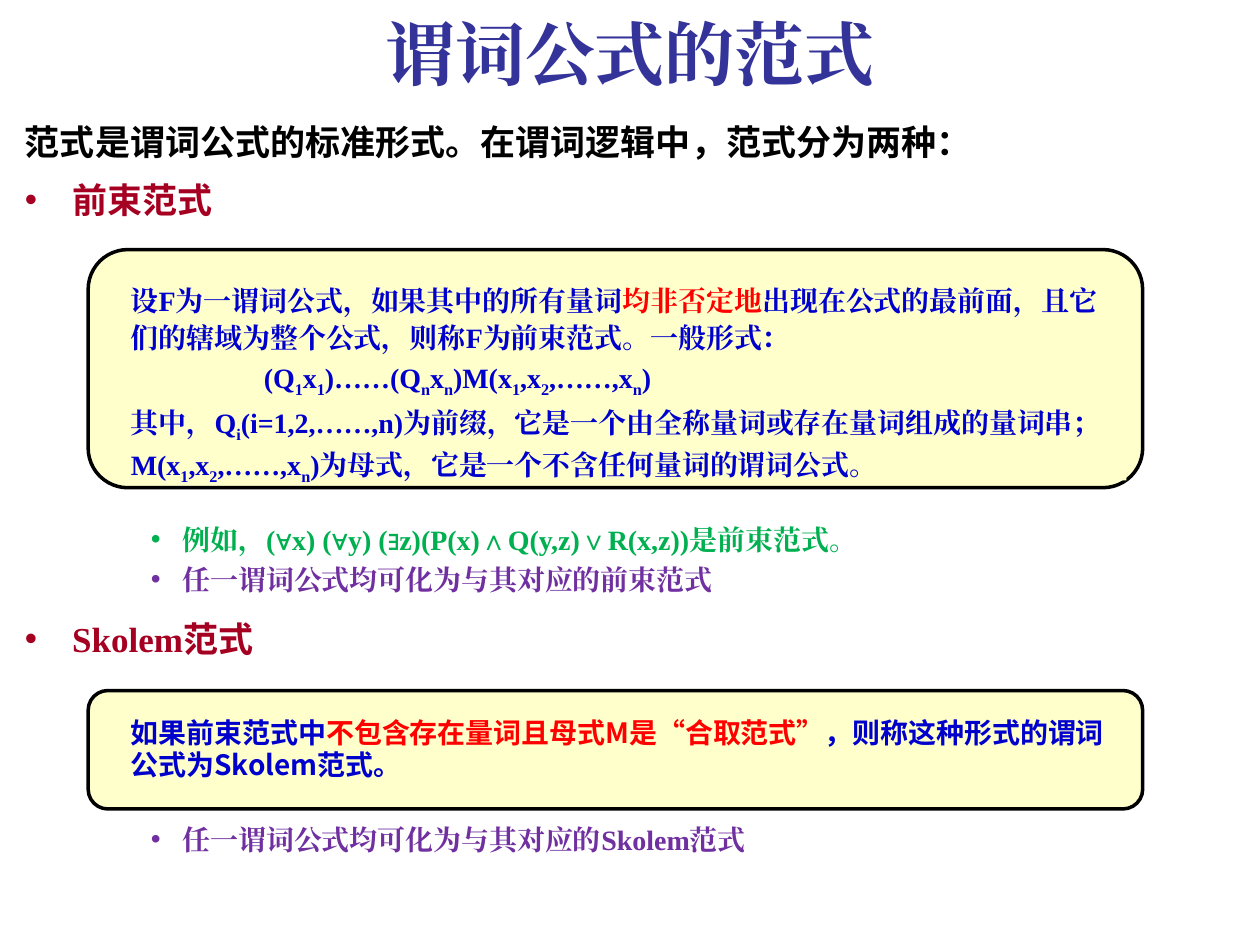
"""Build a slide on the normal forms of predicate formulas."""
import dataclasses

import pptx
import pptx.dml.color
import pptx.enum.shapes
import pptx.enum.text
import pptx.oxml.ns
import pptx.util
from lxml import etree

Pt = pptx.util.Pt


@dataclasses.dataclass(frozen=True)
class Theme:
    """Colours, fonts and type sizes of the slide."""
    title: str = "333399"
    text: str = "000000"
    heading: str = "A50021"
    example: str = "00B050"
    remark: str = "7030A0"
    definition: str = "0000CC"
    emphasis: str = "FF0000"
    panel: str = "FFFFCC"
    outline: str = "000000"
    serif: str = "Times New Roman"
    sans: str = "Noto Sans CJK SC"
    title_size: int = 40
    body_size: int = 20
    detail_size: int = 16


THEME = Theme()
SPACING = {THEME.serif: 1.1, THEME.sans: 1.0}


def apply_format(target, values):
    """Set every attribute in values on the target."""
    for name, value in values.items():
        setattr(target, name, value)


def rgb(value):
    """Return the colour for a hex string."""
    return pptx.dml.color.RGBColor.from_string(value)


def add_element(parent, tag, **attributes):
    """Append a DrawingML element to the parent."""
    return etree.SubElement(parent, pptx.oxml.ns.qn(tag), attributes)


def add_run(paragraph, text, font_name, size, color, subscript=False):
    """Add one bold run to the paragraph."""
    run = paragraph.add_run()
    run.text = text
    apply_format(run.font, {"name": font_name, "size": Pt(size), "bold": True})
    run.font.color.rgb = rgb(color)
    properties = run._r.get_or_add_rPr()
    add_element(properties, "a:ea", typeface=font_name)
    if subscript:
        properties.set("baseline", "-25000")


def add_marked_text(paragraph, text, font_name, size, color):
    """Add text in which an underscore lowers the next character."""
    first, *rest = text.split("_")
    add_run(paragraph, first, font_name, size, color)
    for piece in rest:
        add_run(paragraph, piece[0], font_name, size, color, subscript=True)
        if piece[1:]:
            add_run(paragraph, piece[1:], font_name, size, color)


def set_indent(paragraph, margin, hanging=0):
    """Indent the paragraph and give a hanging one a bullet."""
    properties = paragraph._p.get_or_add_pPr()
    properties.set("marL", str(Pt(margin)))
    properties.set("indent", str(Pt(-hanging)))
    if hanging:
        add_element(properties, "a:buFont", typeface="Arial")
        add_element(properties, "a:buChar", char="•")


def write_paragraph(frame, runs, size, margin=0, hanging=0, before=0, spacing=1.1):
    """Write (text, colour, font) runs as the next paragraph of the frame."""
    paragraph = frame.paragraphs[0]
    if paragraph.runs:
        paragraph = frame.add_paragraph()
    apply_format(paragraph, {
        "line_spacing": spacing,
        "space_before": Pt(before),
        "alignment": pptx.enum.text.PP_ALIGN.LEFT,
    })
    if margin:
        set_indent(paragraph, margin, hanging)
    for text, color, font_name in runs:
        add_marked_text(paragraph, text, font_name, size, color)
    return paragraph


def add_text_box(slide, left, top, width, height):
    """Add a wrapping text box and return its frame."""
    box = slide.shapes.add_textbox(Pt(left), Pt(top), Pt(width), Pt(height))
    box.text_frame.word_wrap = True
    return box.text_frame


def add_title(slide, text):
    """Add the centred slide title."""
    frame = add_text_box(slide, 36, 0, 648, 60.5)
    frame.vertical_anchor = pptx.enum.text.MSO_ANCHOR.MIDDLE
    paragraph = write_paragraph(frame, [(text, THEME.title, THEME.serif)],
                                THEME.title_size, spacing=1)
    paragraph.alignment = pptx.enum.text.PP_ALIGN.CENTER


def add_heading(frame, runs, before=0):
    """Add a bulleted section heading."""
    runs = [(text, THEME.heading, font_name) for text, font_name in runs]
    write_paragraph(frame, runs, THEME.body_size, 27, 27, before, spacing=1)


def add_notes(slide, top, notes):
    """Add second-level bullets from (text, colour) pairs."""
    frame = add_text_box(slide, 7.2, top, 705.6, 24 * len(notes))
    for index, (text, color) in enumerate(notes):
        write_paragraph(frame, [(text, color, THEME.serif)], THEME.detail_size,
                        90, 18, 1.6 if index else 0)


def add_panel_shape(group, kind, left, top, width, height):
    """Add a panel-coloured shape without outline to the group."""
    shape = group.shapes.add_shape(kind, Pt(left), Pt(top), Pt(width), Pt(height))
    shape.shadow.inherit = False
    shape.fill.solid()
    shape.fill.fore_color.rgb = rgb(THEME.panel)
    shape.line.fill.background()
    return shape


def add_definition(slide, top, height, font_name, spacing, paragraphs, inner_top):
    """Add an outlined panel holding (runs, indent) paragraphs."""
    kinds = pptx.enum.shapes.MSO_SHAPE
    group = slide.shapes.add_group_shape()
    panel = add_panel_shape(group, kinds.ROUNDED_RECTANGLE, 50.4, top, 602.6, height)
    panel.line.color.rgb = rgb(THEME.outline)
    panel.line.width = Pt(2)
    content = add_panel_shape(group, kinds.RECTANGLE, 67.7, inner_top, 576, height - 18)
    frame = content.text_frame
    apply_format(frame, {"word_wrap": True,
                         "vertical_anchor": pptx.enum.text.MSO_ANCHOR.TOP})
    for index, (runs, margin) in enumerate(paragraphs):
        runs = [(text, color, font_name) for text, color in runs]
        write_paragraph(frame, runs, THEME.detail_size, margin,
                        before=1.6 if index else 0, spacing=spacing)


def main():
    """Build and save the slide."""
    presentation = pptx.Presentation()
    apply_format(presentation, {"slide_width": Pt(720), "slide_height": Pt(540)})
    slide = presentation.slides.add_slide(presentation.slide_layouts[6])
    blue, red = THEME.definition, THEME.emphasis

    add_title(slide, "谓词公式的范式")
    introduction = add_text_box(slide, 7.2, 65.5, 705.6, 76)
    write_paragraph(introduction,
                    [("范式是谓词公式的标准形式。在谓词逻辑中，范式分为两种：",
                      THEME.text, THEME.sans)], THEME.body_size, spacing=1)
    add_heading(introduction, [("前束范式", THEME.sans)], before=8.7)
    add_definition(slide, 142.6, 136.1, THEME.serif, 1.1, [
        ([("设F为一谓词公式，如果其中的所有量词", blue),
          ("均非否定地", red),
          ("出现在公式的最前面，且它们的辖域为整个公式，则称F为前束范式。一般形式：", blue)], 0),
        ([("(Q_1x_1)……(Q_nx_n)M(x_1,x_2,……,x_n)", blue)], 76),
        ([("其中，Q_i(i=1,2,……,n)为前缀，它是一个由全称量词或存在量词组成的量词串； "
           "M(x_1,x_2,……,x_n)为母式，它是一个不含任何量词的谓词公式。", blue)], 0),
    ], inner_top=156.5)
    add_notes(slide, 293.1, [
        ("例如，(∀x) (∀y) (∃z)(P(x)∧Q(y,z)∨R(x,z))是前束范式。", THEME.example),
        ("任一谓词公式均可化为与其对应的前束范式", THEME.remark),
    ])
    skolem = add_text_box(slide, 7.2, 349.4, 705.6, 37)
    add_heading(skolem, [("Skolem", THEME.serif), ("范式", THEME.sans)])
    add_definition(slide, 394.6, 67.7, THEME.sans, 0.95, [
        ([("如果前束范式中", blue),
          ("不包含存在量词且母式M是“合取范式”", red),
          ("，则称这种形式的谓词公式为Skolem范式。", blue)], 0),
    ], inner_top=406.8)
    add_notes(slide, 464.5, [("任一谓词公式均可化为与其对应的Skolem范式", THEME.remark)])
    presentation.save("out.pptx")


if __name__ == "__main__":
    main()
